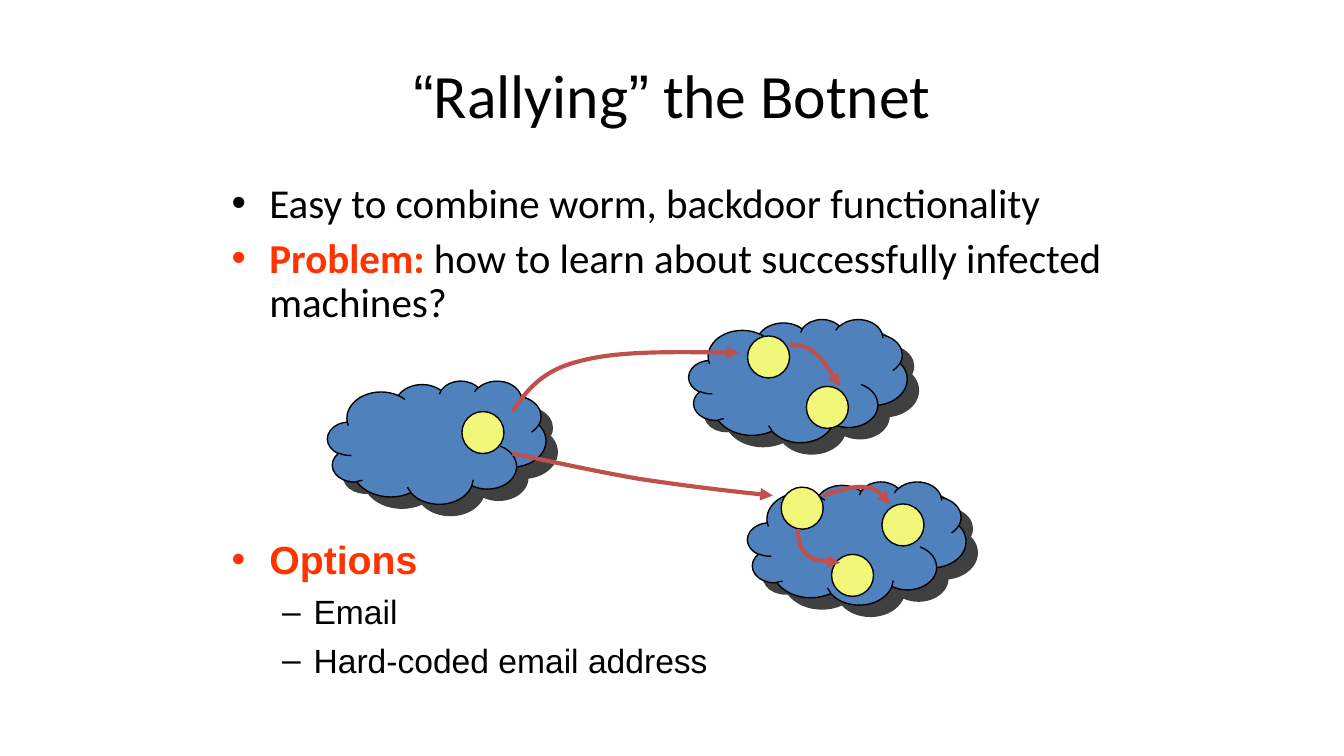
"""Builds the slide on how a botnet learns about infected machines."""
import dataclasses

import lxml.etree
import pptx
import pptx.dml.color
import pptx.enum.shapes
import pptx.enum.text
import pptx.oxml.ns
import pptx.util

Pt = pptx.util.Pt
qn = pptx.oxml.ns.qn
Shape = pptx.enum.shapes.MSO_SHAPE
Anchor = pptx.enum.text.MSO_ANCHOR


@dataclasses.dataclass(frozen=True)
class Theme:
    ink: str = "000000"
    accent: str = "FF3300"
    cloud: str = "4F81BD"
    bot: str = "F1F779"
    arrow: str = "C0504D"
    outline: float = 0.75
    arrow_width: float = 2.25
    title_size: float = 33
    body_size: float = 22
    option_size: float = 21
    detail_size: float = 18
    body_font: str = "Calibri"
    plain_font: str = "Arial"


def color(code):
    return pptx.dml.color.RGBColor.from_string(code)


def child(parent, tag, **attributes):
    node = lxml.etree.SubElement(parent, qn(tag))
    for name, value in attributes.items():
        node.set(name, str(value))
    return node


def add_span(para, text, *, size, font, ink, bold=False):
    span = para.add_run()
    span.text = text
    span.font.size = Pt(size)
    span.font.name = font
    span.font.bold = bold
    span.font.color.rgb = color(ink)


class SlideBuilder:
    def __init__(self, page, theme):
        self.page = page
        self.theme = theme

    def title(self, left, top, width, height, spans):
        box = self.page.shapes.title
        box.left, box.top, box.width, box.height = map(Pt, (left, top, width, height))
        frame = box.text_frame
        frame.auto_size = pptx.enum.text.MSO_AUTO_SIZE.NONE
        frame.vertical_anchor = Anchor.MIDDLE
        para = frame.paragraphs[0]
        para.alignment = pptx.enum.text.PP_ALIGN.CENTER
        for text, font in spans:
            add_span(para, text, size=self.theme.title_size, font=font, ink=self.theme.ink)

    def text_box(self, left, top, width, height):
        box = self.page.shapes.add_textbox(*map(Pt, (left, top, width, height)))
        box.text_frame.word_wrap = True
        return box.text_frame

    def bullet(self, frame, spans, *, size, font, before, level=0, spacing=1.0):
        first = frame.paragraphs[0]
        para = frame.add_paragraph() if first.runs else first
        para.level = level
        para.line_spacing = spacing
        para.space_before = Pt(before)
        margin, hang, mark = ((20.25, 20.25, "•"), (43.9, 16.9, "–"))[level]
        properties = para._p.get_or_add_pPr()
        properties.set("marL", str(Pt(margin)))
        properties.set("indent", str(-Pt(hang)))
        child(child(properties, "a:buClr"), "a:srgbClr", val=spans[0][1])
        child(properties, "a:buFont", typeface=self.theme.plain_font)
        child(properties, "a:buChar", char=mark)
        for text, ink, bold in spans:
            add_span(para, text, size=size, font=font, ink=ink, bold=bold)

    def outlined(self, kind, left, top, width, height, fill):
        shape = self.page.shapes.add_shape(kind, *map(Pt, (left, top, width, height)))
        shape.shadow.inherit = False
        shape.fill.solid()
        shape.fill.fore_color.rgb = color(fill)
        shape.line.color.rgb = color(self.theme.ink)
        shape.line.width = Pt(self.theme.outline)
        return shape

    def cloud(self, left, top):
        shape = self.outlined(Shape.CLOUD, left, top, 117, 66, self.theme.cloud)
        effects = shape.element.spPr.find(qn("a:effectLst"))
        shadow = child(effects, "a:outerShdw", blurRad=0, dist=Pt(8.5), dir=2700000,
                       algn="ctr", rotWithShape=0)
        child(child(shadow, "a:srgbClr", val=self.theme.ink), "a:alpha", val=75000)

    def bot(self, left, top):
        self.outlined(Shape.OVAL, left, top, 22.5, 22.5, self.theme.bot)

    def curved_arrow(self, start, *points):
        builder = self.page.shapes.build_freeform(*map(Pt, start))
        builder.add_line_segments([tuple(map(Pt, point)) for point in points], close=False)
        shape = builder.convert_to_shape()
        shape.shadow.inherit = False
        shape.fill.background()
        shape.line.color.rgb = color(self.theme.arrow)
        shape.line.width = Pt(self.theme.arrow_width)
        outline = shape.element.spPr.find(qn("a:ln"))
        child(outline, "a:tailEnd", type="triangle")
        segments = shape.element.xpath(".//a:lnTo")
        route = segments[0].getparent()
        for index in range(0, len(segments), 3):
            curve = child(route, "a:cubicBezTo")
            for segment in segments[index:index + 3]:
                curve.append(segment[0])
                route.remove(segment)


def main():
    theme = Theme()
    deck = pptx.Presentation()
    deck.slide_width, deck.slide_height = Pt(720), Pt(405)
    slide = SlideBuilder(deck.slides.add_slide(deck.slide_layouts[5]), theme)

    slide.title(36, 16.5, 648, 67.5, [
        ("“", theme.plain_font), ("Rallying", theme.body_font),
        ("”", theme.plain_font), (" the Botnet", theme.body_font)])

    problem = slide.text_box(117, 94.5, 486, 90)
    for spans in (
        [("Easy to combine worm, backdoor functionality", theme.ink, False)],
        [("Problem:", theme.accent, True),
         (" how to learn about successfully infected machines?", theme.ink, False)],
    ):
        slide.bullet(problem, spans, size=theme.body_size, font=theme.body_font,
                     before=5.5, spacing=0.9)

    options = slide.text_box(117, 283.5, 486, 90)
    slide.bullet(options, [("Options", theme.accent, True)], size=theme.option_size,
                 font=theme.plain_font, before=5.2)
    for text in ("Email", "Hard-coded email address"):
        slide.bullet(options, [(text, theme.ink, False)], size=theme.detail_size,
                     font=theme.plain_font, before=4.5, level=1)

    for corner in ((175.5, 204), (369, 171), (400.5, 258)):
        slide.cloud(*corner)
    for corner in ((247.5, 220.5), (400.5, 180), (432, 207),
                   (418.5, 261), (445.5, 297), (472.5, 270)):
        slide.bot(*corner)
    for points in (
        ((274.5, 220.5), (282, 209.5), (290, 198.5), (310.5, 193.5),
         (330.5, 188), (363.5, 188.5), (396, 189)),
        ((423, 184.5), (427.5, 185), (432, 185), (436.5, 189),
         (441, 193), (445.5, 200), (450, 207)),
        ((274.5, 243), (296.5, 247.5), (319, 252.5), (342, 256.5),
         (365, 260), (389.5, 263), (414, 265.5)),
        ((441, 265.5), (449, 263), (457, 260), (463.5, 261),
         (470, 262), (473, 265.5), (477, 270)),
        ((427.5, 283.5), (427.5, 288.5), (428.5, 294), (432, 297),
         (435.5, 300), (443, 301), (450, 301.5)),
    ):
        slide.curved_arrow(*points)

    deck.save("out.pptx")


main()
